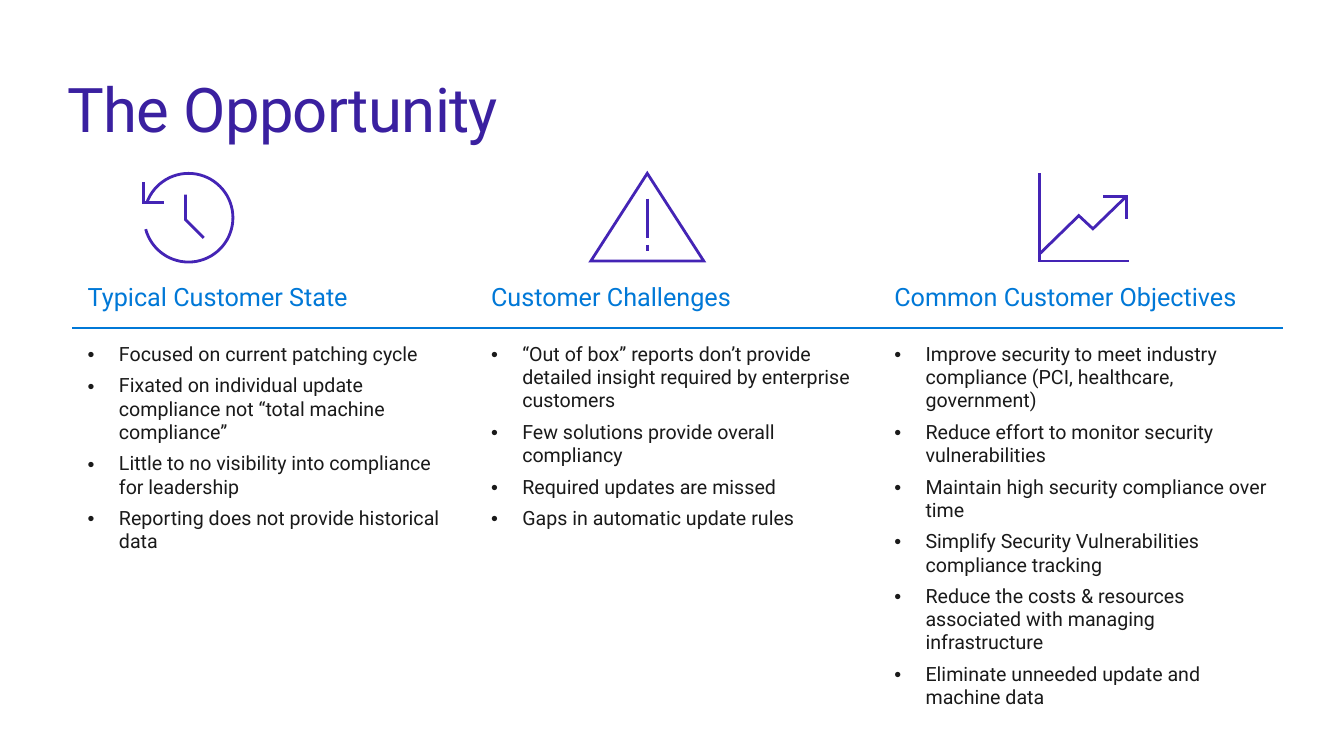
from math import cos, sin, radians

from lxml import etree
from pptx import Presentation
from pptx.dml.color import RGBColor
from pptx.enum.text import MSO_ANCHOR, MSO_AUTO_SIZE, PP_ALIGN
from pptx.oxml import parse_xml
from pptx.oxml.ns import nsdecls, qn
from pptx.util import Inches, Pt

TITLE_PURPLE = RGBColor(0x3A, 0x20, 0xA0)
ICON_PURPLE = RGBColor(0x44, 0x24, 0xB5)
HEADING_BLUE = RGBColor(0x00, 0x78, 0xD7)
BODY_DARK = RGBColor(0x1A, 0x1A, 0x1A)
FONT = "Roboto"
CELL_MARGIN = Inches(0.15)
BULLET_INDENT = Inches(0.31)

COLUMNS = [
    ("Typical Customer State", [
        "Focused on current patching cycle",
        "Fixated on individual update compliance not “total machine compliance”",
        "Little to no visibility into compliance for leadership",
        "Reporting does not provide historical data",
    ]),
    ("Customer Challenges", [
        "“Out of box” reports don’t provide detailed insight required by enterprise customers",
        "Few solutions provide overall compliancy",
        "Required updates are missed",
        "Gaps in automatic update rules",
    ]),
    ("Common Customer Objectives", [
        "Improve security to meet industry compliance (PCI, healthcare, government)",
        "Reduce effort to monitor security vulnerabilities",
        "Maintain high security compliance over time",
        "Simplify Security Vulnerabilities compliance tracking",
        "Reduce the costs & resources associated with managing infrastructure",
        "Eliminate unneeded update and machine data",
    ]),
]

# Icon strokes, in inches from the icon's top left corner
RADIUS = 0.44
CLOCK_RIM = [(0.45 + RADIUS * cos(radians(angle)), RADIUS + RADIUS * sin(radians(angle)))
             for angle in range(165, -161, -5)]
CLOCK = [
    [(0.6, 0.64), (0.42, 0.46), (0.42, 0.21)],
    [(0, 0.09), (0, 0.29), (0.21, 0.29)],
    CLOCK_RIM + [(0.03, 0.29)],
]
WARNING = [
    [(0, 0.87), (0.56, 0), (1.12, 0.87), (0, 0.87)],
    [(0.56, 0.25), (0.56, 0.64)],
    [(0.56, 0.71), (0.56, 0.77)],
]
GROWTH = [
    [(0, 0), (0, 0.87), (0.89, 0.87)],
    [(0.86, 0.23), (0.53, 0.55), (0.39, 0.42), (0, 0.8)],
    [(0.86, 0.45), (0.86, 0.23), (0.63, 0.23)],
]


def style_run(span, size, color):
    span.font.name = FONT
    span.font.size = Pt(size)
    span.font.color.rgb = color
    span.font.bold = False


def add_title(page, left, top, width, height):
    title = page.shapes.title
    title.left, title.top, title.width, title.height = map(Inches, (left, top, width, height))
    frame = title.text_frame
    frame.text = "The Opportunity"
    frame.auto_size = MSO_AUTO_SIZE.NONE
    frame.vertical_anchor = MSO_ANCHOR.MIDDLE
    frame.margin_left = frame.margin_right = frame.margin_top = frame.margin_bottom = 0
    para = frame.paragraphs[0]
    para.alignment = PP_ALIGN.LEFT
    para.line_spacing = 0.9
    span = para.runs[0]
    style_run(span, 44, TITLE_PURPLE)
    span.font._element.set("spc", "-50")


def add_icon(page, strokes, left, top):
    """Draw each stroke as an open contour of one outline."""
    builder = None
    for stroke in strokes:
        points = [(Inches(left + x), Inches(top + y)) for x, y in stroke]
        if builder is None:
            builder = page.shapes.build_freeform(*points[0])
        else:
            builder.move_to(*points[0])
        builder.add_line_segments(points[1:], close=False)
    icon = builder.convert_to_shape()
    icon.shadow.inherit = False
    icon.fill.background()
    icon.line.color.rgb = ICON_PURPLE
    icon.line.width = Pt(2)
    etree.SubElement(icon.line._get_or_add_ln(), qn("a:miter"), lim="800000")


def prepare_cell(cell, border_tag):
    cell.margin_left = cell.margin_right = CELL_MARGIN
    cell.margin_top = cell.margin_bottom = CELL_MARGIN
    cell.fill.background()
    cell._tc.get_or_add_tcPr().insert(0, parse_xml(
        f'<a:{border_tag} {nsdecls("a")} w="{Pt(1)}"><a:solidFill>'
        f'<a:srgbClr val="{HEADING_BLUE}"/></a:solidFill></a:{border_tag}>'))


def fill_heading(cell, heading):
    prepare_cell(cell, "lnB")
    cell.text_frame.text = heading
    style_run(cell.text_frame.paragraphs[0].runs[0], 18, HEADING_BLUE)


def fill_bullets(cell, items):
    prepare_cell(cell, "lnT")
    frame = cell.text_frame
    frame.text = "\n".join(items)
    for index, para in enumerate(frame.paragraphs):
        para.space_before = Pt(6 if index else 0)
        properties = para._p.get_or_add_pPr()
        properties.set("marL", str(BULLET_INDENT))
        properties.set("indent", str(-BULLET_INDENT))
        etree.SubElement(properties, qn("a:buFont"), typeface="Arial")
        etree.SubElement(properties, qn("a:buChar"), char="•")
        style_run(para.runs[0], 14, BODY_DARK)


def add_comparison(page, left, top, width, row_heights):
    box = map(Inches, (left, top, width, sum(row_heights)))
    table = page.shapes.add_table(len(row_heights), len(COLUMNS), *box).table
    table.first_row = table.horz_banding = False
    for row, height in zip(table.rows, row_heights):
        row.height = Inches(height)
    for index, (heading, items) in enumerate(COLUMNS):
        fill_heading(table.cell(0, index), heading)
        fill_bullets(table.cell(1, index), items)


def main():
    deck = Presentation()
    deck.slide_width, deck.slide_height = Inches(13.33), Inches(7.5)
    page = deck.slides.add_slide(deck.slide_layouts[5])
    add_title(page, 0.67, 0.67, 12, 0.9)
    add_comparison(page, 0.72, 2.66, 12, [0.55, 3.98])
    for strokes, left in ((WARNING, 5.86), (CLOCK, 1.42), (GROWTH, 10.31)):
        add_icon(page, strokes, left, 1.72)
    deck.save("out.pptx")


if __name__ == "__main__":
    main()
